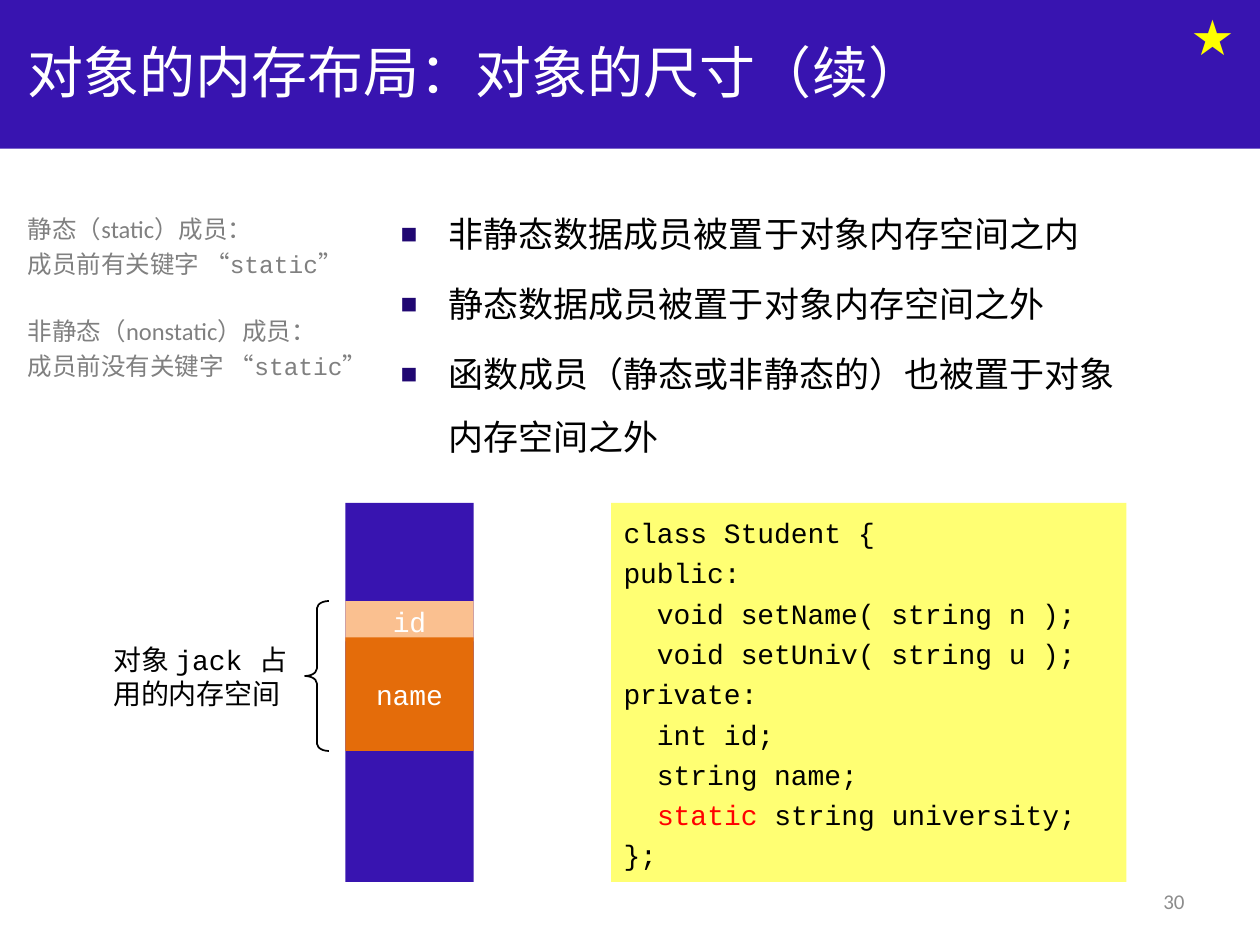
from pptx import Presentation
from pptx.dml.color import RGBColor
from pptx.enum.shapes import MSO_SHAPE as Shape
from pptx.enum.text import MSO_ANCHOR as Anchor, MSO_AUTO_SIZE as AutoSize, PP_ALIGN as Align
from pptx.oxml import parse_xml
from pptx.oxml.ns import nsdecls
from pptx.util import Inches, Pt

COLORS = {
    "band": "3814B0", "white": "FFFFFF", "black": "000000", "note": "808080",
    "star": "FFFF00", "bullet": "200772", "code": "FFFF73", "keyword": "FF0000",
    "id": "FAC090", "name": "E46C0A", "number": "8C8C8C",
}
SANS, MONO = "Calibri", "Courier New"

NOTES = [
    ("静态（static）成员：", SANS, 0),
    ("成员前有关键字 “static”", MONO, 2.8),
    ("非静态（nonstatic）成员：", SANS, 22),
    ("成员前没有关键字 “static”", MONO, 2.8),
]
RULES = [
    "非静态数据成员被置于对象内存空间之内",
    "静态数据成员被置于对象内存空间之外",
    "函数成员（静态或非静态的）也被置于对象内存空间之外",
]
CODE = [
    ["class Student {"],
    ["public:"],
    ["  void setName( string n );"],
    ["  void setUniv( string u );"],
    ["private:"],
    ["  int id;"],
    ["  string name;"],
    ["  ", "static", " string university;"],
    ["};"],
]


def color(key):
    """Return the named colour."""
    return RGBColor.from_string(COLORS[key])


def place(shape, left, top, width, height):
    """Move a shape to a box given in inches."""
    shape.left, shape.top = Inches(left), Inches(top)
    shape.width, shape.height = Inches(width), Inches(height)


def add_run(paragraph, text, size, font, color_key):
    """Append one formatted run."""
    run = paragraph.add_run()
    run.text = text
    run.font.size, run.font.name = Pt(size), font
    run.font.color.rgb = color(color_key)


def start_text(shape, anchor=Anchor.TOP):
    """Prepare a wrapping text frame of fixed size."""
    frame = shape.text_frame
    frame.word_wrap = True
    frame.auto_size = AutoSize.NONE
    frame.vertical_anchor = anchor
    return frame


def paragraphs(frame, items):
    """Yield a paragraph with each item, starting with the existing one."""
    for index, item in enumerate(items):
        yield (frame.add_paragraph() if index else frame.paragraphs[0]), item


def add_box(slide, box, fill, kind=Shape.RECTANGLE):
    """Add a flat shape without outline."""
    shape = slide.shapes.add_shape(kind, *map(Inches, box))
    shape.shadow.inherit = False
    shape.fill.solid()
    shape.fill.fore_color.rgb = color(fill)
    shape.line.fill.background()
    return shape


def add_label(slide, box, lines, size, font, color_key, align=Align.LEFT, anchor=Anchor.TOP):
    """Add a text box with one paragraph per line."""
    frame = start_text(slide.shapes.add_textbox(*map(Inches, box)), anchor)
    for paragraph, line in paragraphs(frame, lines):
        paragraph.alignment = align
        add_run(paragraph, line, size, font, color_key)


def add_header(slide, left, top, width, height):
    """Put the title on a coloured band with a star at its right end."""
    band = add_box(slide, (left, top, width, height), "band")
    slide.shapes._spTree.insert(2, band._element)
    title = slide.shapes.title
    place(title, left + 0.12, top + 0.06, 9, 1.01)
    paragraph = start_text(title, Anchor.MIDDLE).paragraphs[0]
    paragraph.alignment = Align.LEFT
    add_run(paragraph, "对象的内存布局：对象的尺寸（续）", 32, SANS, "white")
    add_label(slide, (left + width - 0.65, top, 0.55, 0.57), ["★"], 28, SANS, "star")


def set_bullet(paragraph, character=None):
    """Give a paragraph a hanging square bullet, or none."""
    properties = paragraph._p.get_or_add_pPr()
    indent = Inches(0.38) if character else 0
    properties.set("marL", str(indent))
    properties.set("indent", str(-indent))
    if character:
        parts = [
            f'<a:buClr {nsdecls("a")}><a:srgbClr val="{COLORS["bullet"]}"/></a:buClr>',
            f'<a:buSzPct {nsdecls("a")} val="80000"/>',
            f'<a:buFont {nsdecls("a")} typeface="Arial"/>',
            f'<a:buChar {nsdecls("a")} char="{character}"/>',
        ]
    else:
        parts = [f'<a:buNone {nsdecls("a")}/>']
    for part in parts:
        properties.append(parse_xml(part))


def fill_notes(placeholder, *box):
    """Write the grey definitions."""
    place(placeholder, *box)
    for paragraph, (text, font, before) in paragraphs(start_text(placeholder), NOTES):
        set_bullet(paragraph)
        paragraph.space_before = Pt(before)
        add_run(paragraph, text, 14, font, "note")


def fill_rules(placeholder, *box):
    """Write the bulleted rules."""
    place(placeholder, *box)
    for paragraph, text in paragraphs(start_text(placeholder), RULES):
        set_bullet(paragraph, "■")
        paragraph.line_spacing = 1.5
        paragraph.space_before = Pt(0 if text == RULES[0] else 4)
        add_run(paragraph, text, 20, SANS, "black")


def add_code(slide, *box):
    """Add the class listing on a yellow panel."""
    frame = start_text(add_box(slide, box, "code"))
    for paragraph, pieces in paragraphs(frame, CODE):
        paragraph.alignment = Align.LEFT
        paragraph.line_spacing = 1.2
        for piece in pieces:
            add_run(paragraph, piece, 16, MONO, "keyword" if piece == "static" else "black")


def add_memory(slide, left, top, width, height):
    """Draw the memory column with the object's fields, brace and label."""
    add_box(slide, (left, top, width, height), "band")
    for field, offset, size in [("id", 0.78, 0.32), ("name", 1.07, 0.9)]:
        cell = add_box(slide, (left, top + offset, width, size), field)
        paragraph = start_text(cell, Anchor.MIDDLE).paragraphs[0]
        paragraph.alignment = Align.CENTER
        add_run(paragraph, field, 16, MONO, "white")
    brace = add_box(slide, (left - 0.32, top + 0.78, 0.19, 1.19), "white", Shape.LEFT_BRACE)
    brace.fill.background()
    brace.adjustments[0] = 0.31
    brace.line.color.rgb = color("black")
    brace.line.width = Pt(1)
    add_label(slide, (left - 1.94, top + 1.06, 1.61, 0.64),
              ["对象 jack 占", "用的内存空间"], 16, MONO, "black")


def main():
    """Build and save the slide."""
    presentation = Presentation()
    presentation.slide_width, presentation.slide_height = Inches(10), Inches(7.5)
    slide = presentation.slides.add_slide(presentation.slide_layouts[3])
    add_header(slide, 0, 0, 10, 1.18)
    fill_notes(slide.placeholders[1], 0.12, 1.65, 2.96, 1.89)
    fill_rules(slide.placeholders[2], 3.08, 1.47, 6.04, 2.99)
    add_code(slide, 4.85, 3.99, 4.09, 3.01)
    add_memory(slide, 2.74, 3.99, 1.02, 3.01)
    add_label(slide, (7.17, 6.95, 2.33, 0.4), ["30"], 12, SANS, "number",
              Align.RIGHT, Anchor.MIDDLE)
    presentation.save("out.pptx")


if __name__ == "__main__":
    main()
